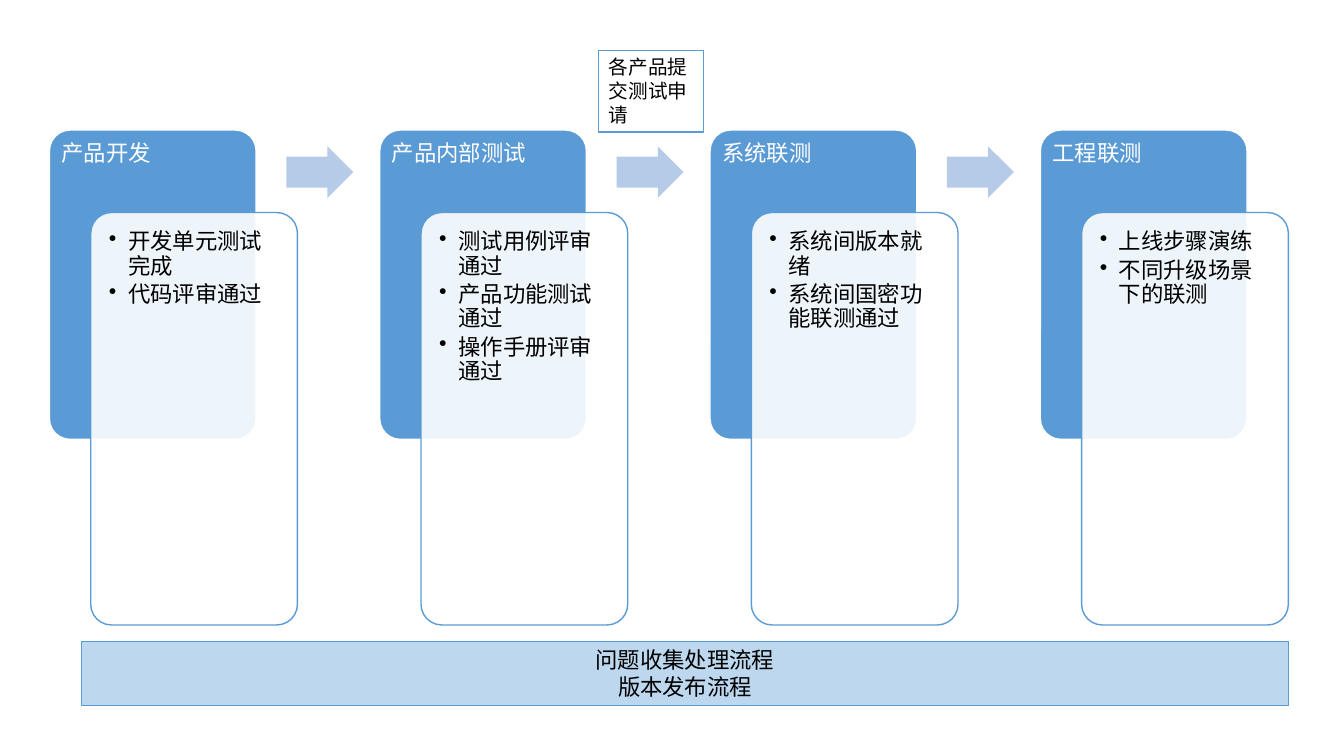
from collections import namedtuple

from lxml import etree
from pptx import Presentation
from pptx.dml.color import RGBColor
from pptx.enum.shapes import MSO_SHAPE as Preset
from pptx.enum.text import MSO_ANCHOR as Anchor, PP_ALIGN as Align
from pptx.oxml.ns import qn
from pptx.util import Inches, Pt

Box = namedtuple("Box", "left top width height")

FONT = "Noto Sans CJK SC"
COLORS = {
    "blue": "5B9BD5",
    "arrow": "B5CBE7",
    "band": "BDD7EE",
    "white": "FFFFFF",
    "black": "000000",
}
STAGES = [
    ("产品开发", ["开发单元测试完成", "代码评审通过"]),
    ("产品内部测试", ["测试用例评审通过", "产品功能测试通过", "操作手册评审通过"]),
    ("系统联测", ["系统间版本就绪", "系统间国密功能联测通过"]),
    ("工程联测", ["上线步骤演练", "不同升级场景下的联测"]),
]
FIRST_STAGE = Box(0.49, 1.29, 2.46, 4.91)
STAGE_STEP = 3.276
NOTE = Box(5.94, 0.5, 1.04, 0.81)
BAND = Box(0.81, 6.36, 11.97, 0.64)


def color(name):
    """Return the named colour."""
    return RGBColor.from_string(COLORS[name])


def share(box, left, top, width, height):
    """Return the part of a box given as shares of its size."""
    return Box(box.left + left * box.width, box.top + top * box.height,
               width * box.width, height * box.height)


def add_panel(page, preset, box, fill=None, line=None, weight=1, adjust=()):
    """Add a flat preset shape with the given fill and outline."""
    panel = page.shapes.add_shape(preset, *map(Inches, box))
    panel.shadow.inherit = False
    for index, value in enumerate(adjust):
        panel.adjustments[index] = value
    if fill:
        panel.fill.solid()
        panel.fill.fore_color.rgb = color(fill)
    else:
        panel.fill.background()
    if line:
        panel.line.color.rgb = color(line)
        panel.line.width = Pt(weight)
    else:
        panel.line.fill.background()
    return panel


def set_opacity(panel, percent):
    """Make a solid fill partly transparent."""
    fill_color = panel.fill._xPr.find(qn("a:solidFill"))[0]
    etree.SubElement(fill_color, qn("a:alpha"), val=str(percent * 1000))


def add_bullet(para):
    """Give a paragraph a round bullet and a hanging indent."""
    props = para._p.get_or_add_pPr()
    indent = Inches(0.19)
    props.set("marL", str(indent))
    props.set("indent", str(-indent))
    bullet = etree.Element(qn("a:buChar"), char="•")
    props.find(qn("a:defRPr")).addprevious(bullet)


def write(panel, lines, size=16, ink="black", align=Align.LEFT,
          insets=(0.1, 0.05, 0.1, 0.05), spacing=None, after=0, bullets=False):
    """Write one paragraph per line, starting at the top of a shape."""
    frame = panel.text_frame
    frame.word_wrap = True
    frame.vertical_anchor = Anchor.TOP
    (frame.margin_left, frame.margin_top,
     frame.margin_right, frame.margin_bottom) = map(Inches, insets)
    for index, line in enumerate(lines):
        para = frame.add_paragraph() if index else frame.paragraphs[0]
        para.text = line
        para.alignment = align
        para.line_spacing = spacing
        para.space_after = Pt(after)
        para.font.size = Pt(size)
        para.font.color.rgb = color(ink)
        para.font.name = FONT
        defaults = para._p.pPr.find(qn("a:defRPr"))
        etree.SubElement(defaults, qn("a:ea"), typeface=FONT)
        if bullets:
            add_bullet(para)


def add_stage(page, box, title, tasks):
    """Add a stage: a titled back panel and an overlapping task card."""
    back = add_panel(page, Preset.ROUNDED_RECTANGLE, share(box, 0, 0, 5 / 6, 5 / 8),
                     "blue", "white", adjust=[0.1])
    write(back, [title], ink="white", insets=(0.06, 0.06, 0.06, 0.06), spacing=0.9)
    card = add_panel(page, Preset.ROUNDED_RECTANGLE,
                     share(box, 1 / 6, 1 / 6, 5 / 6, 5 / 6),
                     "white", "blue", adjust=[0.1])
    set_opacity(card, 90)
    write(card, tasks, insets=(0.12, 0.12, 0.12, 0.12),
          spacing=0.9, after=3, bullets=True)


def add_stages(page, first):
    """Add the row of stages with an arrow between neighbours."""
    for index, (title, tasks) in enumerate(STAGES):
        box = first._replace(left=first.left + index * STAGE_STEP)
        add_stage(page, box, title, tasks)
        if index < len(STAGES) - 1:
            add_panel(page, Preset.RIGHT_ARROW, share(box, 0.955, 0.033, 0.27, 0.104),
                      "arrow", adjust=[0.6, 0.5])


def add_note(page, box):
    """Add the outlined note above the second arrow."""
    note = add_panel(page, Preset.RECTANGLE, box, line="blue", weight=0.75)
    write(note, ["各产品提交测试申请"], size=14)


def add_band(page, box):
    """Add the band of shared processes below the stages."""
    band = add_panel(page, Preset.RECTANGLE, box, "band", "blue", 0.75)
    write(band, ["问题收集处理流程", "版本发布流程"], align=Align.CENTER)


def main():
    """Build and save the deck."""
    deck = Presentation()
    deck.slide_width, deck.slide_height = Inches(13.33), Inches(7.5)
    page = deck.slides.add_slide(deck.slide_layouts[6])
    add_stages(page, FIRST_STAGE)
    add_note(page, NOTE)
    add_band(page, BAND)
    deck.save("out.pptx")


main()
